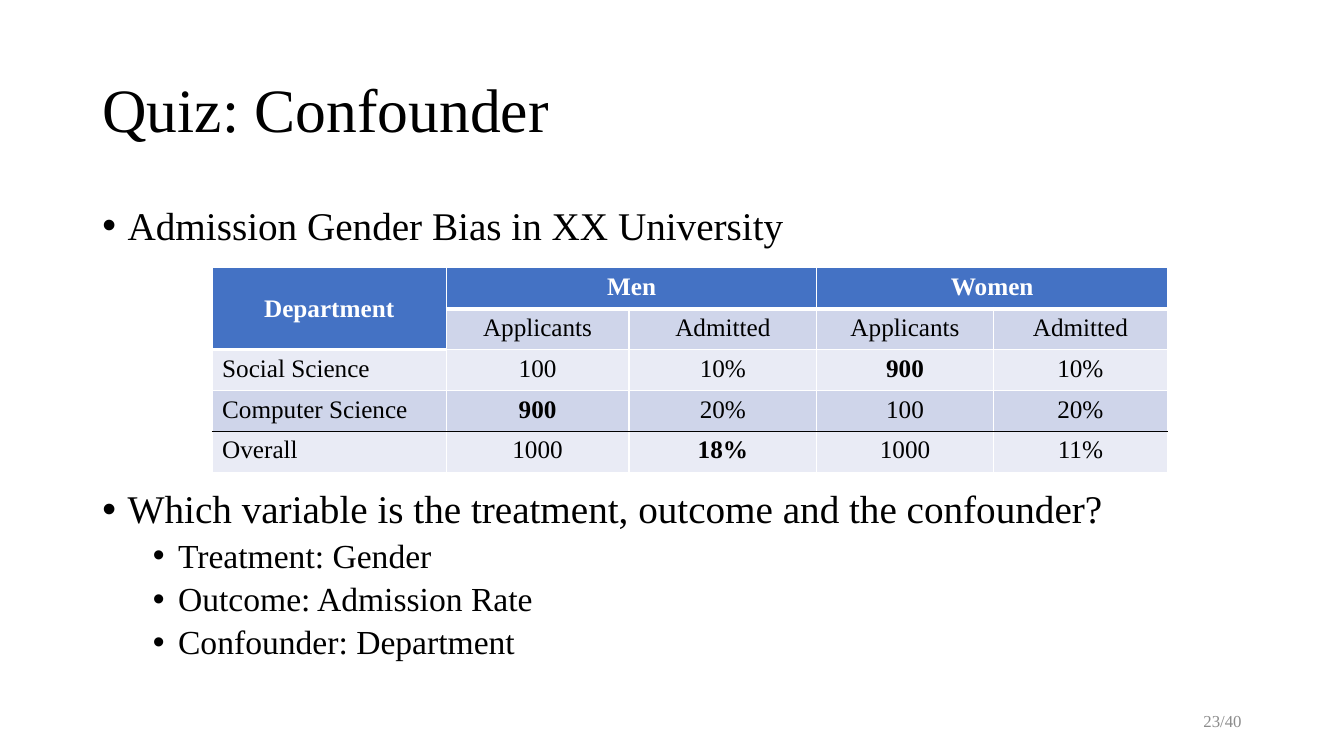
from lxml.etree import SubElement
from pptx import Presentation
from pptx.dml.color import RGBColor
from pptx.enum.text import MSO_ANCHOR as Anchor, MSO_AUTO_SIZE as AutoSize, PP_ALIGN as Align
from pptx.oxml.ns import qn
from pptx.util import Pt

PX = 9525
FONT = "Times New Roman"
BLACK, WHITE, GRAY = "000000", "FFFFFF", "8C8C8C"
BLUE, LIGHT, PALE = "4472C4", "CFD5EA", "E9EBF5"

TITLE_BOX = (88, 38, 1104, 139)
BODY_BOX = (88, 192, 1104, 457)
TABLE_BOX = (202, 255, 910, 195)
NUMBER_BOX = (904, 667, 288, 38)

BULLETS = [
    (0, 0, "Admission Gender Bias in XX University"),
    (0, 172, "Which variable is the treatment, outcome and the confounder?"),
    (1, 5, "Treatment: Gender"),
    (1, 5, "Outcome: Admission Rate"),
    (1, 5, "Confounder: Department"),
]
COLUMNS = [223, 174, 179, 168, 166]
ROWS = [
    ["Department", "Men", "", "Women", ""],
    ["", "Applicants", "Admitted", "Applicants", "Admitted"],
    ["Social Science", "100", "10%", "900", "10%"],
    ["Computer Science", "900", "20%", "100", "20%"],
    ["Overall", "1000", "18%", "1000", "11%"],
]
ROW_FILLS = [BLUE, LIGHT, PALE, LIGHT, PALE]
MERGES = [((0, 0), (1, 0)), ((0, 1), (0, 2)), ((0, 3), (0, 4))]
HIGHLIGHTS = {"900", "18%"}


def color(value):
    """Turn a hex string into a colour."""
    return RGBColor.from_string(value)


def scale(box):
    """Turn px lengths into EMU."""
    return [length * PX for length in box]


def place(shape, box):
    """Move a shape into a px box."""
    shape.left, shape.top, shape.width, shape.height = scale(box)


def add_span(para, text, size, shade=BLACK, bold=False):
    """Add one formatted run to a paragraph."""
    span = para.add_run()
    span.text = text
    span.font.name = FONT
    span.font.size = Pt(size)
    span.font.bold = bold
    span.font.color.rgb = color(shade)


def add_title(page, box):
    """Fill the title placeholder."""
    title = page.shapes.title
    place(title, box)
    frame = title.text_frame
    frame.auto_size = AutoSize.NONE
    frame.vertical_anchor = Anchor.MIDDLE
    para = frame.paragraphs[0]
    para.alignment = Align.LEFT
    para.line_spacing = 0.9
    add_span(para, "Quiz: Confounder", 44)


def add_bullets(page, box):
    """Fill the body placeholder with the two-level list."""
    body = page.placeholders[1]
    place(body, box)
    frame = body.text_frame
    frame.auto_size = AutoSize.NONE
    for index, (level, gap, text) in enumerate(BULLETS):
        para = frame.add_paragraph() if index else frame.paragraphs[0]
        para.level = level
        props = para._p.get_or_add_pPr()
        props.set("marL", str((24 + 48 * level) * PX))
        props.set("indent", str(-24 * PX))
        SubElement(props, qn("a:buFont"), typeface="Arial")
        SubElement(props, qn("a:buChar"), char="•")
        para.line_spacing = 0.9
        para.space_before = Pt(gap)
        add_span(para, text, 24 if level else 28)


def edge(line, column):
    """Give the colour and width of a horizontal grid line."""
    if line == 4:
        return BLACK, 1
    if line == 1 or (line == 2 and column == 0):
        return WHITE, 3
    return WHITE, 1


def add_borders(cell, row, column):
    """Draw the four borders of a cell."""
    props = cell._tc.get_or_add_tcPr()
    side = (WHITE, 1)
    borders = {"L": side, "R": side, "T": edge(row, column), "B": edge(row + 1, column)}
    for name, (shade, width) in borders.items():
        line = SubElement(props, qn(f"a:ln{name}"), w=str(Pt(width)))
        SubElement(SubElement(line, qn("a:solidFill")), qn("a:srgbClr"), val=shade)


def add_admissions(page, box):
    """Add the admissions table."""
    table = page.shapes.add_table(len(ROWS), len(COLUMNS), *scale(box)).table
    table.first_row = table.horz_banding = False
    for column, width in zip(table.columns, COLUMNS):
        column.width = width * PX
    for row in table.rows:
        row.height = box[3] * PX // len(ROWS)
    for first, last in MERGES:
        table.cell(*first).merge(table.cell(*last))
    for row, texts in enumerate(ROWS):
        for column, text in enumerate(texts):
            cell = table.cell(row, column)
            header = row == 0 or (row == 1 and column == 0)
            add_borders(cell, row, column)
            cell.fill.solid()
            cell.fill.fore_color.rgb = color(BLUE if header else ROW_FILLS[row])
            if not text:
                continue
            para = cell.text_frame.paragraphs[0]
            para.alignment = Align.CENTER if header or column else Align.LEFT
            add_span(para, text, 18, WHITE if header else BLACK, header or text in HIGHLIGHTS)
    table.cell(0, 0).vertical_anchor = Anchor.MIDDLE


def add_number(page, box):
    """Add the page number."""
    frame = page.shapes.add_textbox(*scale(box)).text_frame
    frame.word_wrap = True
    frame.vertical_anchor = Anchor.MIDDLE
    para = frame.paragraphs[0]
    para.alignment = Align.RIGHT
    add_span(para, "23/40", 12, GRAY)


def main():
    """Build and save the deck."""
    deck = Presentation()
    deck.slide_width, deck.slide_height = scale((1280, 720))
    page = deck.slides.add_slide(deck.slide_layouts[1])
    add_title(page, TITLE_BOX)
    add_bullets(page, BODY_BOX)
    add_admissions(page, TABLE_BOX)
    add_number(page, NUMBER_BOX)
    deck.save("out.pptx")


if __name__ == "__main__":
    main()
